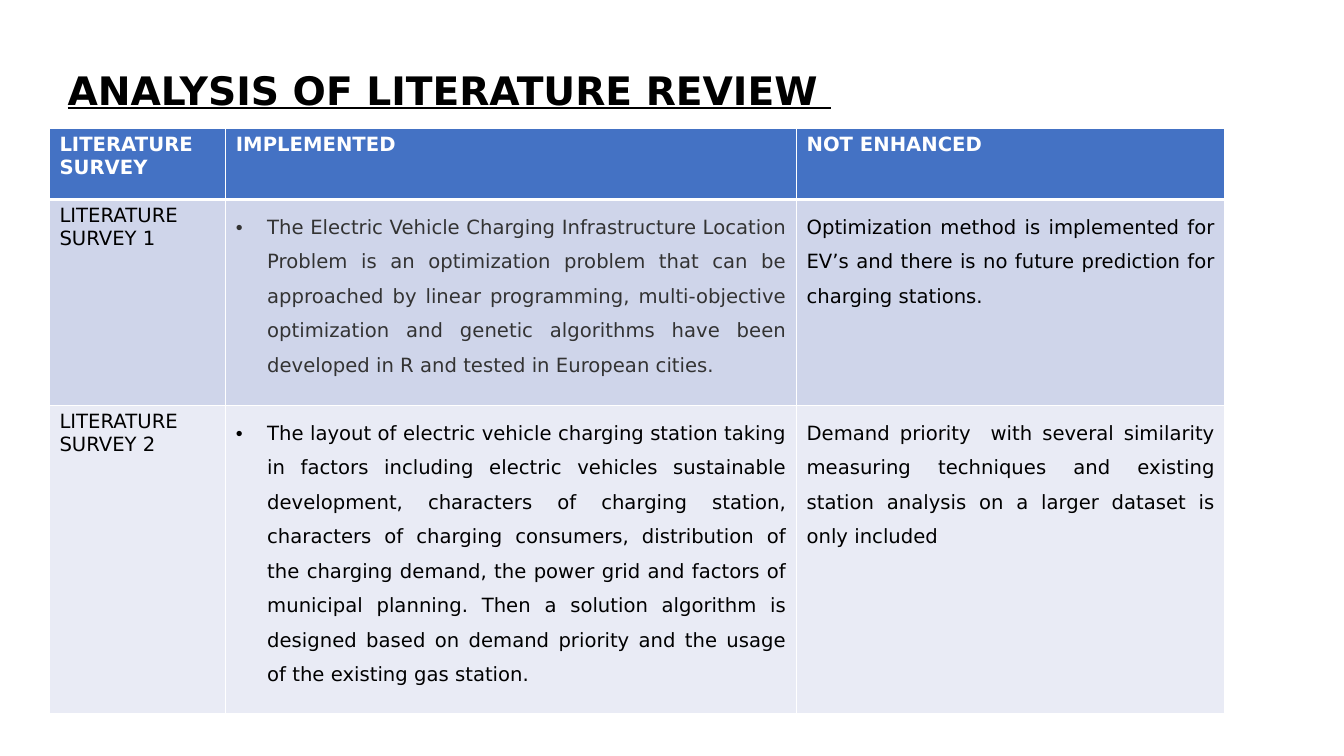
from lxml.etree import SubElement
from pptx import Presentation
from pptx.dml.color import RGBColor
from pptx.enum.text import MSO_ANCHOR, PP_ALIGN
from pptx.oxml.ns import qn
from pptx.util import Inches, Pt

COLORS = {
    "white": "FFFFFF",
    "black": "000000",
    "gray": "333333",
    "header": "4472C4",
    "band_dark": "CFD5EA",
    "band_light": "E9EBF5",
}
FONT = "DejaVu Sans"


def write_text(frame, text, size=14, color="black", bold=False, underline=False,
               align=PP_ALIGN.JUSTIFY, spacing=None, bullet=False):
    paragraph = frame.paragraphs[0]
    paragraph.alignment = align
    if spacing:
        paragraph.line_spacing = spacing
    if bullet:
        properties = paragraph._p.get_or_add_pPr()
        properties.set("marL", str(Inches(0.31)))
        properties.set("indent", str(Inches(-0.31)))
        SubElement(properties, qn("a:buFont"), typeface="Arial")
        SubElement(properties, qn("a:buChar"), char="•")
    run = paragraph.add_run()
    run.text = text
    run.font.name = FONT
    run.font.size = Pt(size)
    run.font.bold = bold
    run.font.underline = underline
    run.font.color.rgb = RGBColor.from_string(COLORS[color])


def style_cell(cell, fill, bottom_width=1, top_width=1):
    properties = cell._tc.get_or_add_tcPr()
    widths = {"a:lnL": 1, "a:lnR": 1, "a:lnT": top_width, "a:lnB": bottom_width}
    for side, width in widths.items():
        line = SubElement(properties, qn(side), w=str(Pt(width)))
        line_fill = SubElement(line, qn("a:solidFill"))
        SubElement(line_fill, qn("a:srgbClr"), val=COLORS["white"])
    cell.fill.solid()
    cell.fill.fore_color.rgb = RGBColor.from_string(COLORS[fill])


presentation = Presentation()
presentation.slide_width = Inches(13.33)
presentation.slide_height = Inches(7.5)
slide = presentation.slides.add_slide(presentation.slide_layouts[6])

# Title
title = slide.shapes.add_textbox(Inches(0.67), Inches(0.3), Inches(12), Inches(1.25))
title_frame = title.text_frame
title_frame.word_wrap = True
title_frame.vertical_anchor = MSO_ANCHOR.MIDDLE
title_frame.margin_left = title_frame.margin_right = 0
title_frame.margin_top = title_frame.margin_bottom = 0
write_text(title_frame, "ANALYSIS OF LITERATURE REVIEW ", size=28, bold=True,
           underline=True, align=PP_ALIGN.LEFT, spacing=0.9)

# Table content
headings = ["LITERATURE SURVEY", "IMPLEMENTED", "NOT ENHANCED"]
surveys = [
    ("LITERATURE SURVEY 1",
     "The Electric Vehicle Charging Infrastructure Location Problem is an optimization "
     "problem that can be approached by linear programming, multi-objective optimization "
     "and genetic algorithms have been developed in R and tested in European cities.",
     "Optimization method is implemented for EV’s and there is no future prediction "
     "for charging stations."),
    ("LITERATURE SURVEY 2",
     "The layout of electric vehicle charging station taking in factors including electric "
     "vehicles sustainable development, characters of charging station, characters of "
     "charging consumers, distribution of the charging demand, the power grid and factors "
     "of municipal planning. Then a solution algorithm is designed based on demand priority "
     "and the usage of the existing gas station.",
     "Demand priority  with several similarity measuring techniques and existing station "
     "analysis on a larger dataset is only included"),
]
column_widths = [1.75, 5.66, 4.25]
row_heights = [0.71, 2.04, 3.06]

# Table grid
table = slide.shapes.add_table(
    len(row_heights), len(column_widths), Inches(0.49), Inches(1.27),
    Inches(sum(column_widths)), Inches(sum(row_heights))).table
for column, width in zip(table.columns, column_widths):
    column.width = Inches(width)
for row, height in zip(table.rows, row_heights):
    row.height = Inches(height)

# Header row
for index, heading in enumerate(headings):
    cell = table.cell(0, index)
    style_cell(cell, "header", bottom_width=3)
    write_text(cell.text_frame, heading, color="white", bold=True)

# Survey rows
bands = ["band_dark", "band_light"]
implemented_colors = ["gray", "black"]
for row_index, survey in enumerate(surveys):
    for column_index, text in enumerate(survey):
        cell = table.cell(row_index + 1, column_index)
        style_cell(cell, bands[row_index], top_width=3 if row_index == 0 else 1)
        implemented = column_index == 1
        write_text(cell.text_frame, text,
                   color=implemented_colors[row_index] if implemented else "black",
                   spacing=1.5 if column_index > 0 else None,
                   bullet=implemented)

presentation.save("out.pptx")
